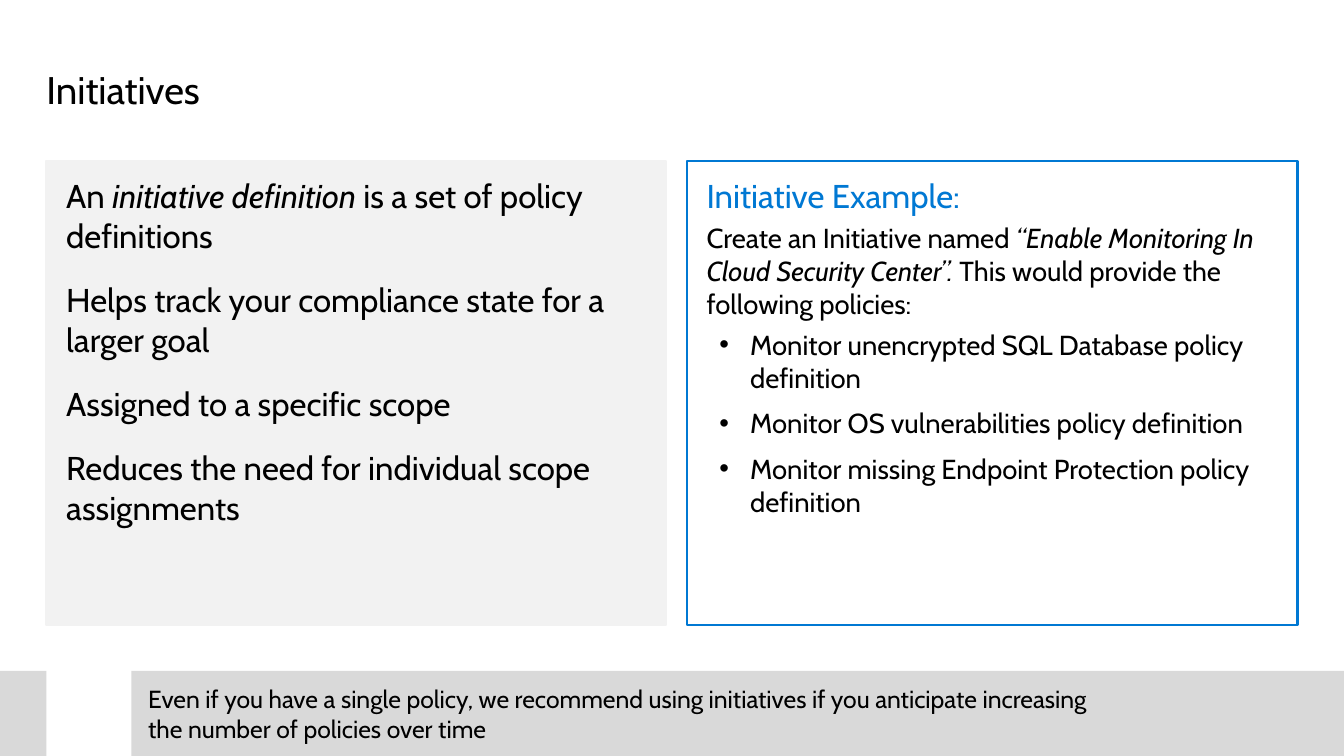
import pptx
import pptx.util
import pptx.dml.color
import pptx.enum.text
import pptx.oxml

PX = 9144  # EMU per px, 100 px to the inch
WIDTH, HEIGHT = 1360, 765
FONT = "Cabin"
COLORS = {"text": "000000", "accent": "0078D3", "panel": "F2F2F2", "banner": "D9D9D9"}

DEFINITION = [
    ["An ", ("initiative definition",), " is a set of policy definitions"],
    ["Helps track your compliance state for a larger goal"],
    ["Assigned to a specific scope"],
    ["Reduces the need for individual scope assignments"],
]
EXAMPLE_INTRO = [
    "Create an Initiative named ",
    ("“Enable Monitoring In Cloud Security Center”. ",),
    "This would provide the following policies:",
]
EXAMPLE_POLICIES = [
    "Monitor unencrypted SQL Database policy definition",
    "Monitor OS vulnerabilities policy definition",
    "Monitor missing Endpoint Protection policy definition",
]


def color(name):
    return pptx.dml.color.RGBColor.from_string(COLORS[name])


def place(sp, box):
    sp.left, sp.top, sp.width, sp.height = (v * PX for v in box)


def set_frame(tf, insets, anchor):
    tf.margin_left, tf.margin_top, tf.margin_right, tf.margin_bottom = (
        v * PX for v in insets)
    tf.vertical_anchor = anchor
    tf.word_wrap = True
    tf.auto_size = pptx.enum.text.MSO_AUTO_SIZE.NONE


def style(p, size, name="text", before=0, after=0):
    p.alignment = pptx.enum.text.PP_ALIGN.LEFT
    p.space_before = pptx.util.Pt(before)
    p.space_after = pptx.util.Pt(after)
    p.font.name = FONT
    p.font.size = pptx.util.Pt(size)
    p.font.color.rgb = color(name)


def set_bullet(p, char=None, left=0, hang=0):
    pPr = p._p.get_or_add_pPr()
    pPr.set("marL", str(left * PX))
    pPr.set("indent", str(-hang * PX))
    tag = f'buChar char="{char}"' if char else "buNone"
    bullet = pptx.oxml.parse_xml(
        f'<a:{tag} xmlns:a="http://schemas.openxmlformats.org/drawingml/2006/main"/>')
    # Bullets come before the default run properties
    pPr.insert_element_before(bullet, "a:tabLst", "a:defRPr", "a:extLst")


def add_runs(p, parts):
    """Plain strings are upright; one-item tuples are italic."""
    for part in parts:
        r = p.add_run()
        r.text = part if isinstance(part, str) else part[0]
        if not isinstance(part, str):
            r.font.italic = True


def write_list(tf, items):
    """Each item: runs, style options, bullet options."""
    for i, (parts, look, bullet) in enumerate(items):
        p = tf.add_paragraph() if i else tf.paragraphs[0]
        add_runs(p, parts)
        style(p, **look)
        set_bullet(p, **bullet)


def add_title(s, box, text):
    sp = s.shapes.title
    place(sp, box)
    set_frame(sp.text_frame, (0, 0, 0, 0), pptx.enum.text.MSO_ANCHOR.TOP)
    p = sp.text_frame.paragraphs[0]
    p.text = text
    style(p, 28)
    p.line_spacing = pptx.util.Pt(32)


def add_panel(sp, box, line, items, fill=None):
    place(sp, box)
    if fill:
        sp.fill.solid()
        sp.fill.fore_color.rgb = color(fill)
    sp.line.color.rgb = color(line)
    sp.line.width = pptx.util.Pt(1.5)
    set_frame(sp.text_frame, (20, 15, 20, 15), pptx.enum.text.MSO_ANCHOR.TOP)
    write_list(sp.text_frame, items)


def add_banner(s, box, gap, text):
    """Full-width band with an opening between the two gap edges."""
    x, y, w, h = box
    bands = [(x + gap[1], x + w), (x, x + gap[0])]
    builder = None
    for left, right in bands:
        if builder is None:
            builder = s.shapes.build_freeform(left, y, scale=PX)
        else:
            builder.move_to(left, y)
        builder.add_line_segments([(right, y), (right, y + h), (left, y + h)], close=True)
    sp = builder.convert_to_shape()
    sp.shadow.inherit = False
    sp.fill.solid()
    sp.fill.fore_color.rgb = color("banner")
    sp.line.fill.background()
    set_frame(sp.text_frame, (150, 16, 20, 16), pptx.enum.text.MSO_ANCHOR.MIDDLE)
    p = sp.text_frame.paragraphs[0]
    p.text = text
    style(p, 18)


def build_initiatives(prs):
    s = prs.slides.add_slide(prs.slide_layouts.get_by_name("Two Content"))

    # Title
    add_title(s, (47, 69, 1265, 45), "Initiatives")

    # Left panel: what an initiative is
    add_panel(s.placeholders[1], (47, 163, 627, 469), "panel",
              [(parts, {"size": 24, "before": 18}, {}) for parts in DEFINITION],
              fill="panel")

    # Right panel: worked example
    policy_look = {"size": 20, "before": 6, "after": 3}
    policy_bullet = {"char": "•", "left": 44, "hang": 31}
    example = [
        (["Initiative Example:"], {"size": 24, "name": "accent", "after": 4}, {}),
        (EXAMPLE_INTRO, {"size": 20}, {}),
    ] + [([policy], policy_look, policy_bullet) for policy in EXAMPLE_POLICIES]
    add_panel(s.placeholders[2], (695, 163, 618, 469), "accent", example)

    # Bottom recommendation
    add_banner(s, (0, 679, WIDTH, HEIGHT - 679), (47, 133),
               "Even if you have a single policy, we recommend using initiatives "
               "if you anticipate increasing\vthe number of policies over time")


def main():
    prs = pptx.Presentation()
    prs.slide_width, prs.slide_height = WIDTH * PX, HEIGHT * PX
    build_initiatives(prs)
    prs.save("out.pptx")


if __name__ == "__main__":
    main()
